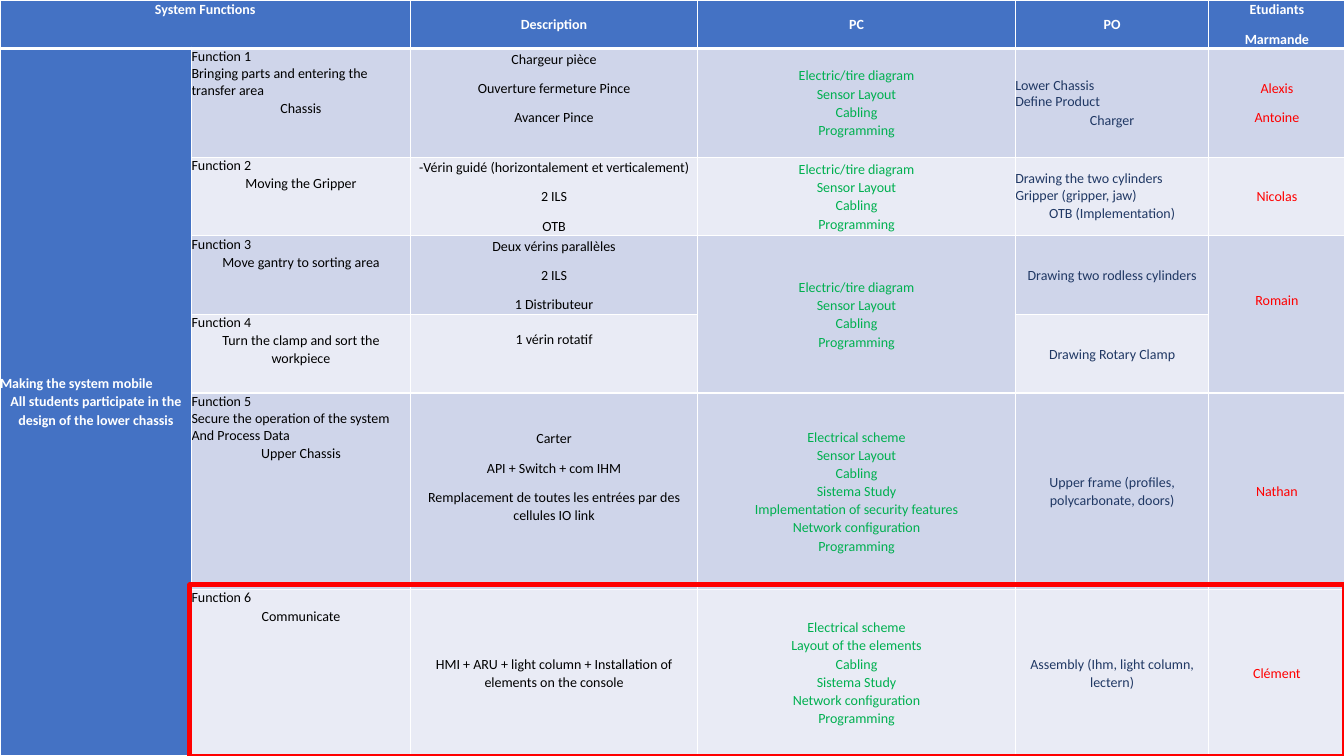
from lxml.etree import SubElement
from pptx import Presentation
from pptx.dml.color import RGBColor
from pptx.enum.shapes import MSO_SHAPE
from pptx.enum.text import MSO_ANCHOR, PP_ALIGN
from pptx.oxml.ns import qn
from pptx.util import Inches, Pt

WIDTH, HEIGHT = 13.33, 7.5
COLS = [1.9, 2.17, 2.85, 3.15, 1.92, 1.35]
ROWS = [0.48, 1.08, 0.78, 0.78, 0.78, 1.95, 1.65]

BLUE, WHITE, RED = "4472C4", "FFFFFF", "FF0000"
BANDS = ["E9EBF5", "CFD5EA"]
TEXT_COLORS = [WHITE, "000000", "000000", "00B050", "203864", RED]
LEAD_COLS = {0, 1, 4}  # all lines but the last stand at the left
LIFTED = {(1, 2), (3, 5), (4, 2), (5, 2)}
MERGES = [((0, 0), (0, 1)), ((1, 0), (6, 0)), ((3, 3), (4, 3)), ((3, 5), (4, 5))]

WIRING = "Electric/tire diagram\vSensor Layout\vCabling\vProgramming"
TEXTS = [
    ["System Functions", "", "Description", "PC", "PO", "Etudiants\nMarmande"],
    ["Making the system mobile\n"
     "All students participate in the design of the lower chassis",
     "Function 1\nBringing parts and entering the transfer area\nChassis",
     "Chargeur pièce\nOuverture fermeture Pince\nAvancer Pince",
     WIRING, "Lower Chassis\nDefine Product\nCharger", "Alexis\nAntoine"],
    ["", "Function 2\nMoving the Gripper",
     "-Vérin guidé (horizontalement et verticalement)\n2 ILS\nOTB", WIRING,
     "Drawing the two cylinders\nGripper (gripper, jaw)\nOTB (Implementation)",
     "Nicolas"],
    ["", "Function 3\nMove gantry to sorting area",
     "Deux vérins parallèles\n2 ILS\n1 Distributeur", WIRING,
     "Drawing two rodless cylinders", "Romain"],
    ["", "Function 4\nTurn the clamp and sort the workpiece",
     "1 vérin rotatif", "", "Drawing Rotary Clamp", ""],
    ["", "Function 5\nSecure the operation of the system\nAnd Process Data\n"
     "Upper Chassis",
     "Carter\nAPI + Switch + com IHM\n"
     "Remplacement de toutes les entrées par des cellules IO link",
     "Electrical scheme\vSensor Layout\vCabling\vSistema Study\v"
     "Implementation of security features\vNetwork configuration\vProgramming",
     "Upper frame (profiles, polycarbonate, doors)", "Nathan"],
    ["", "Function 6\nCommunicate",
     "HMI + ARU + light column + Installation of elements on the console",
     "Electrical scheme\vLayout of the elements\vCabling\vSistema Study\v"
     "Network configuration\vProgramming",
     "Assembly (Ihm, light column, lectern)", "Clément"],
]


def rgb(value):
    return RGBColor.from_string(value)


def set_borders(cell, row):
    tc_pr = cell._tc.get_or_add_tcPr()
    widths = {"L": 1, "R": 1, "T": 3 if row == 1 else 1, "B": 3 if row == 0 else 1}
    for side, width in widths.items():
        ln = SubElement(tc_pr, qn(f"a:ln{side}"), w=str(Pt(width)))
        fill = SubElement(ln, qn("a:solidFill"))
        SubElement(fill, qn("a:srgbClr"), val=WHITE)


def write_text(cell, text, color, bold, lead):
    """Centre the paragraphs; with lead, all but the last go tight at the left."""
    tf = cell.text_frame
    tf.text = text
    for p in tf.paragraphs:
        is_lead = lead and p._p is not tf.paragraphs[-1]._p
        p.alignment = PP_ALIGN.LEFT if is_lead else PP_ALIGN.CENTER
        p.line_spacing = 1.0 if is_lead else 1.07
        p.space_after = Pt(0 if is_lead else 8)
        for r in p.runs:
            r.font.size = Pt(10)
            r.font.name = "Calibri"
            r.font.bold = bold
            r.font.color.rgb = rgb(color)
        for br in p._p.findall(qn("a:br")):
            SubElement(br, qn("a:rPr"), sz="1000")


def format_cell(cell, row, col):
    is_head = row == 0 or col == 0
    set_borders(cell, row)
    cell.fill.solid()
    cell.fill.fore_color.rgb = rgb(BLUE if is_head else BANDS[row % 2])
    cell.margin_left = cell.margin_right = cell.margin_top = 0
    cell.margin_bottom = Inches(0.29 if (row, col) in LIFTED else 0)
    at_top = col == 1 or row == col == 0
    cell.vertical_anchor = MSO_ANCHOR.TOP if at_top else MSO_ANCHOR.MIDDLE
    if TEXTS[row][col]:
        color = WHITE if is_head else TEXT_COLORS[col]
        write_text(cell, TEXTS[row][col], color, is_head, col in LEAD_COLS)
    else:
        cell.text_frame.paragraphs[0].font.size = Pt(10)


def add_functions_table(s):
    table = s.shapes.add_table(len(ROWS), len(COLS), 0, 0,
                               Inches(WIDTH), Inches(HEIGHT)).table
    for column, width in zip(table.columns, COLS):
        column.width = Inches(width)
    for row, height in zip(table.rows, ROWS):
        row.height = Inches(height)
    for row in range(len(ROWS)):
        for col in range(len(COLS)):
            format_cell(table.cell(row, col), row, col)
    for first, last in MERGES:
        table.cell(*first).merge(table.cell(*last))


def add_highlight(s, left, top):
    """Frame the area from this point to the slide's lower right corner."""
    sp = s.shapes.add_shape(MSO_SHAPE.RECTANGLE, Inches(left), Inches(top),
                            Inches(WIDTH - left), Inches(HEIGHT - top))
    sp.shadow.inherit = False
    sp.fill.background()
    sp.line.color.rgb = rgb(RED)
    sp.line.width = Pt(3)


def main():
    prs = Presentation()
    prs.slide_width, prs.slide_height = Inches(WIDTH), Inches(HEIGHT)
    s = prs.slides.add_slide(prs.slide_layouts[6])
    add_functions_table(s)
    add_highlight(s, 1.88, 5.8)
    prs.save("out.pptx")


if __name__ == "__main__":
    main()
